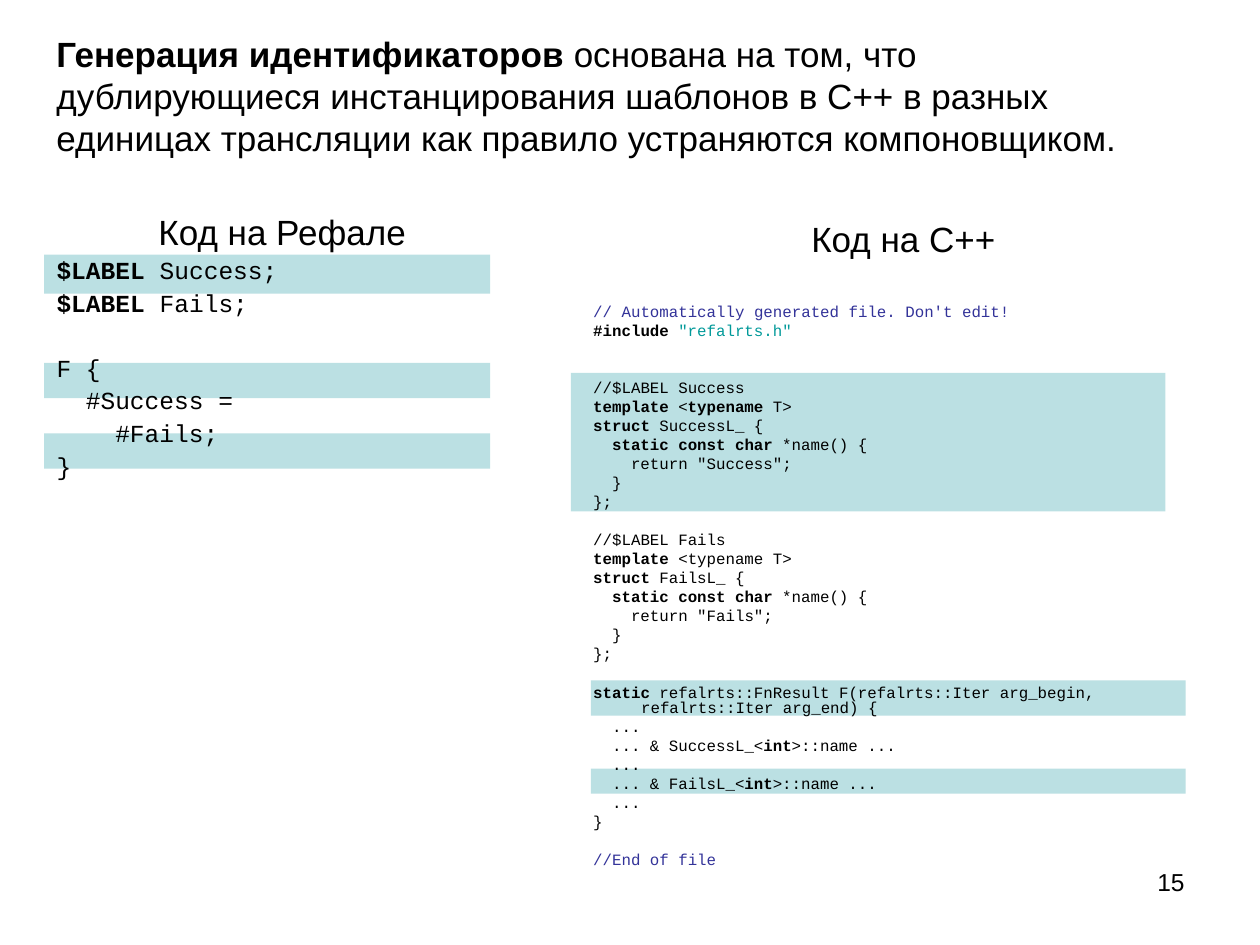
from pptx import Presentation
from pptx.dml.color import RGBColor as Rgb
from pptx.enum.shapes import MSO_SHAPE as Kind
from pptx.enum.text import MSO_ANCHOR as Anchor, PP_ALIGN as Align
from pptx.util import Inches, Pt

INK = {"black": "000000", "note": "333399", "string": "009999", "band": "BBE0E3"}
HANG = 0.38
BANDS = [
    (4.53, 2.96, 4.72, 1.1),
    (0.35, 2.02, 3.54, 0.31),
    (0.35, 2.88, 3.54, 0.28),
    (0.35, 3.44, 3.54, 0.28),
    (4.69, 5.4, 4.72, 0.28),
    (4.69, 6.1, 4.72, 0.2),
]
REFAL = ["**$LABEL** Success;", "**$LABEL** Fails;", "",
         "F {", "  #Success =", "    #Fails;", "}"]


def label(name, param):
    """Return the C++ lines that define one identifier."""
    return [f"//$LABEL {name}", f"**template** <{param} T>",
            f"**struct** {name}L_ {{", "  **static const char** *name() {",
            f'    return "{name}";', "  }", "};", ""]


def usage(name):
    """Return the C++ lines that use one identifier."""
    return [f"  ... & {name}L_<**int**>::name ...", "  ..."]


def add_band(slide, left, top, width, height):
    """Draw one highlight band."""
    band = slide.shapes.add_shape(
        Kind.RECTANGLE, Inches(left), Inches(top), Inches(width), Inches(height))
    band.shadow.inherit = False
    band.fill.solid()
    band.fill.fore_color.rgb = Rgb.from_string(INK["band"])
    band.line.fill.background()


def add_box(slide, left, top, width, height):
    """Add a wrapping text box and return its frame."""
    box = slide.shapes.add_textbox(
        Inches(left), Inches(top), Inches(width), Inches(height))
    box.text_frame.word_wrap = True
    return box.text_frame


def add_runs(para, text, font="Arial", size=20, ink="black"):
    """Append text to a paragraph, with bold between double asterisks."""
    for i, part in enumerate(text.split("**")):
        if part:
            run = para.add_run()
            run.text = part
            run.font.name = font
            run.font.size = Pt(size)
            run.font.bold = i % 2 == 1
            run.font.color.rgb = Rgb.from_string(INK[ink])


def add_text(frame, text, align=Align.LEFT, lead=1.0, gap=0, hang=0, pad=0, **style):
    """Add one formatted paragraph and return it."""
    first = frame.paragraphs[0]
    para = frame.add_paragraph() if first.runs else first
    para.alignment = align
    para.line_spacing = lead
    para.space_before = Pt(gap)
    props = para._p.get_or_add_pPr()
    props.set("marL", str(Inches(hang)))
    props.set("indent", str(Inches(pad - hang)))
    add_runs(para, text, **style)
    return para


def add_code(frame, lines, size, lead, gap, pitch, ink="black", extra=0):
    """Add code lines, turning empty ones into space and leading blanks into indent."""
    for line in lines:
        if not line:
            extra += pitch
            continue
        text = line.lstrip()
        pad = (len(line) - len(text)) * size * 0.6 / 72
        para = add_text(frame, text, lead=lead, gap=gap + extra, hang=HANG,
                        pad=pad, font="Courier New", size=size, ink=ink)
        extra = 0
    return para


def add_refal(slide):
    """Add the Refal column."""
    frame = add_box(slide, 0.35, 1.62, 3.78, 2.41)
    add_text(frame, "Код на Рефале", align=Align.CENTER, gap=5, hang=HANG)
    add_code(frame, REFAL, size=14, lead=0.9, gap=3.5, pitch=18.6)


def add_cpp(slide):
    """Add the C++ column."""
    frame = add_box(slide, 4.61, 1.74, 5.12, 5.55)
    form = dict(size=9, lead=0.8, gap=2.2, pitch=10.9)
    add_text(frame, "Код на C++", align=Align.CENTER, lead=0.8, gap=5, hang=HANG)
    add_code(frame, ["// Automatically generated file. Don't edit!"],
             ink="note", extra=24, **form)
    para = add_code(frame, ["**#include **"], **form)
    add_runs(para, '"refalrts.h"', font="Courier New", size=9, ink="string")
    body = ["", "", *label("Success", "**typename**"), *label("Fails", "typename"),
            "**static** refalrts::FnResult F(refalrts::Iter arg_begin, "
            "refalrts::Iter arg_end) {", "  ...",
            *usage("Success"), *usage("Fails"), "}"]
    add_code(frame, body, **form)
    add_code(frame, ["", "//End of file"], ink="note", **form)


def main():
    """Build and save the slide."""
    deck = Presentation()
    deck.slide_width, deck.slide_height = Inches(10), Inches(7.5)
    slide = deck.slides.add_slide(deck.slide_layouts[6])
    add_text(add_box(slide, 7.17, 6.83, 2.33, 0.52), "15", align=Align.RIGHT, size=14)
    title = add_box(slide, 0.35, 0.21, 9, 1.1)
    title.vertical_anchor = Anchor.MIDDLE
    add_text(title, "**Генерация идентификаторов** основана на том, что "
             "дублирующиеся инстанцирования шаблонов в C++ в разных единицах "
             "трансляции как правило устраняются компоновщиком.")
    for band in BANDS:
        add_band(slide, *band)
    add_refal(slide)
    add_cpp(slide)
    deck.save("out.pptx")


if __name__ == "__main__":
    main()
